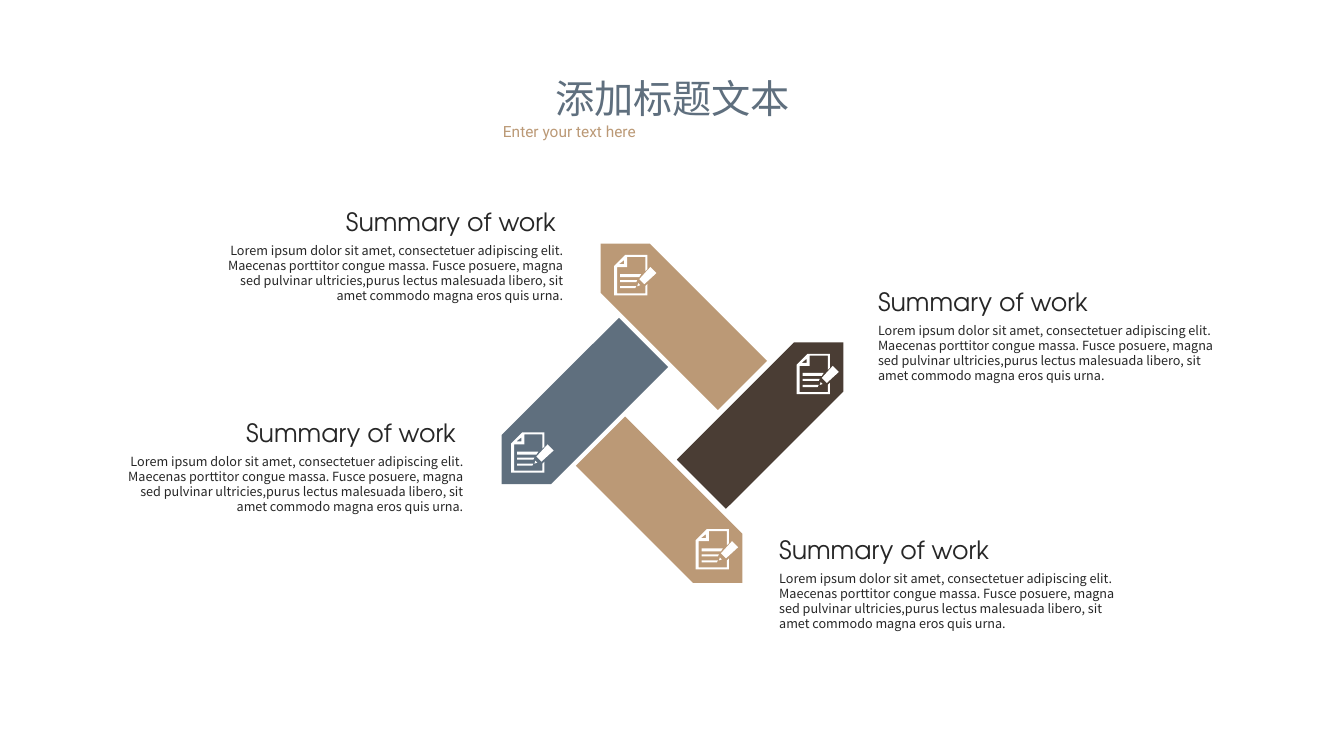
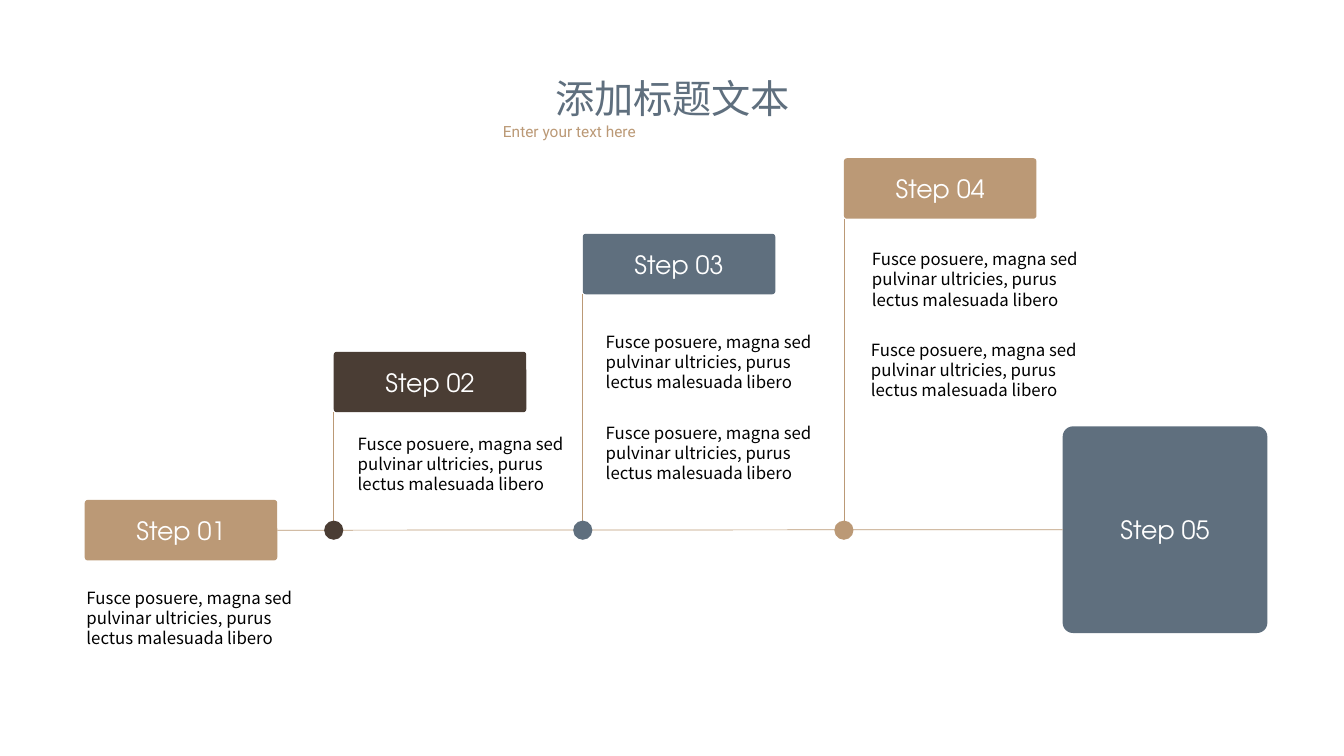
from dataclasses import dataclass

from lxml import etree
from pptx import Presentation
from pptx.dml.color import RGBColor
from pptx.enum.shapes import MSO_CONNECTOR, MSO_SHAPE
from pptx.enum.text import MSO_ANCHOR, MSO_AUTO_SIZE, PP_ALIGN
from pptx.oxml.ns import qn
from pptx.util import Inches, Pt


@dataclass(frozen=True)
class Theme:
    tan: str = "BB9976"
    slate: str = "5F6F7E"
    brown: str = "4A3D34"
    ink: str = "262626"
    black: str = "000000"
    white: str = "FFFFFF"
    sans: str = "Noto Sans CJK SC"
    tagline_font: str = "Roboto"
    display: str = "TeX Gyre Adventor"
    title_size: int = 28
    heading_size: int = 18
    note_size: int = 12
    tagline_size: int = 11
    body_size: int = 9
    leading: float = 1.2


THEME = Theme()

TITLE = "添加标题文本"
TAGLINE = "Enter your text here"
SUMMARY = "Summary of work"
LOREM = (
    "Lorem ipsum dolor sit amet, consectetuer adipiscing elit. Maecenas porttitor "
    "congue massa. Fusce posuere, magna sed pulvinar ultricies,purus lectus "
    "malesuada libero, sit amet commodo magna eros quis urna."
)
NOTE = "Fusce posuere, magna sed pulvinar ultricies, purus lectus malesuada libero"

# Outlines of the document-and-pencil icon, in hundredths of an inch.
ICON_OUTLINES = (
    ((25, 24), (36, 12), (42, 18), (30, 29)),
    ((24, 28), (23, 31), (26, 30)),
    ((31, 31), (33, 29), (33, 40), (0, 40), (0, 11), (11, 0), (33, 0), (33, 14),
     (31, 16), (31, 2), (13, 2), (13, 12), (3, 12), (3, 38), (31, 38)),
    ((5, 9), (10, 9), (10, 5)),
    ((27, 19), (6, 19), (6, 22), (25, 22)),
    ((23, 25), (6, 25), (6, 27), (22, 27)),
    ((6, 33), (21, 33), (22, 31), (6, 31)),
)

# Rotation, plate centre, colour, icon corner, summary corner, alignment.
ARMS = (
    (45, (6.66, 5.08), THEME.tan, (6.9, 5.25), (7.63, 5.25), PP_ALIGN.LEFT),
    (135, (5.68, 4.1), THEME.slate, (5.07, 4.29), (1.11, 4.09), PP_ALIGN.RIGHT),
    (225, (6.66, 3.12), THEME.tan, (6.09, 2.53), (2.1, 2.0), PP_ALIGN.RIGHT),
    (315, (7.66, 4.1), THEME.brown, (7.9, 3.51), (8.61, 2.79), PP_ALIGN.LEFT),
)
PLATE_WIDTH, PLATE_HEIGHT = 1.99, 0.69

# Colour, box (left, top, width, height), note corners.
STEPS = (
    (THEME.tan, (0.84, 4.96, 1.91, 0.6), ((0.76, 5.78),)),
    (THEME.brown, (3.31, 3.49, 1.91, 0.6), ((3.45, 4.25),)),
    (THEME.slate, (5.78, 2.32, 1.91, 0.6), ((5.91, 3.24), (5.91, 4.14))),
    (THEME.tan, (8.37, 1.57, 1.91, 0.6), ((8.55, 2.42), (8.54, 3.32))),
    (THEME.slate, (10.54, 4.23, 2.03, 2.05), ()),
)
TIMELINE_Y = 5.26
DOT_SIZE = 0.19


def write(frame, text, size, font, color, align=PP_ALIGN.LEFT):
    paragraph = frame.paragraphs[0]
    paragraph.alignment = align
    if font == THEME.sans:
        paragraph.line_spacing = Pt(size * THEME.leading)
    run = paragraph.add_run()
    run.text = text
    run.font.size = Pt(size)
    run.font.name = font
    run.font.color.rgb = RGBColor.from_string(color)
    east_asian = etree.Element(qn("a:ea"), typeface=font)
    run.font._element.find(qn("a:latin")).addnext(east_asian)


def add_text(slide, left, top, width, height, *style):
    box = slide.shapes.add_textbox(*map(Inches, (left, top, width, height)))
    box.text_frame.word_wrap = True
    write(box.text_frame, *style)


def paint(shape, color):
    shape.shadow.inherit = False
    shape.fill.solid()
    shape.fill.fore_color.rgb = RGBColor.from_string(color)
    shape.line.fill.background()


def add_block(slide, preset, left, top, width, height, color):
    block = slide.shapes.add_shape(preset, *map(Inches, (left, top, width, height)))
    paint(block, color)
    return block


def add_rule(slide, x1, y1, x2, y2):
    rule = slide.shapes.add_connector(
        MSO_CONNECTOR.STRAIGHT, *map(Inches, (x1, y1, x2, y2)))
    rule.line.color.rgb = RGBColor.from_string(THEME.tan)
    rule.line.width = Pt(0.5)
    etree.SubElement(rule._element.spPr, qn("a:effectLst"))
    return rule


def add_icon(slide, left, top):
    first, *others = ICON_OUTLINES
    builder = slide.shapes.build_freeform(*first[0], scale=Inches(0.01))
    builder.add_line_segments(first[1:], close=True)
    for start, *rest in others:
        builder.move_to(*start)
        builder.add_line_segments(rest, close=True)
    paint(builder.convert_to_shape(Inches(left), Inches(top)), THEME.white)


def add_titled_slide(deck):
    slide = deck.slides.add_slide(deck.slide_layouts[5])
    title = slide.shapes.title
    title.left, title.top, title.width, title.height = map(
        Inches, (5.39, 0.69, 2.56, 0.57))
    frame = title.text_frame
    frame.word_wrap = False
    frame.auto_size = MSO_AUTO_SIZE.NONE
    frame.vertical_anchor = MSO_ANCHOR.TOP
    write(frame, TITLE, THEME.title_size, THEME.sans, THEME.slate, PP_ALIGN.CENTER)
    add_text(slide, 4.89, 1.16, 3.55, 0.29, TAGLINE, THEME.tagline_size,
             THEME.tagline_font, THEME.tan, PP_ALIGN.JUSTIFY)
    return slide


def add_summary(slide, left, top, align):
    heading = SUMMARY + " " if align == PP_ALIGN.RIGHT else SUMMARY
    add_text(slide, left, top, 3.58, 0.4, heading, THEME.heading_size,
             THEME.display, THEME.ink, align)
    add_text(slide, left, top + 0.36, 3.58, 0.71, LOREM, THEME.body_size,
             THEME.sans, THEME.ink, align)


def build_pinwheel(deck):
    slide = add_titled_slide(deck)
    for angle, (x, y), color, icon_corner, summary_corner, align in ARMS:
        plate = add_block(slide, MSO_SHAPE.PENTAGON, x - PLATE_WIDTH / 2,
                          y - PLATE_HEIGHT / 2, PLATE_WIDTH, PLATE_HEIGHT, color)
        plate.rotation = angle
        add_icon(slide, *icon_corner)
        add_summary(slide, *summary_corner, align)


def add_step(slide, number, color, box):
    step = add_block(slide, MSO_SHAPE.ROUNDED_RECTANGLE, *box, color)
    step.adjustments[0] = 0.05
    step.text_frame.vertical_anchor = MSO_ANCHOR.MIDDLE
    write(step.text_frame, f"Step {number:02}", THEME.heading_size,
          THEME.display, THEME.white, PP_ALIGN.CENTER)
    return step


def build_timeline(deck):
    slide = add_titled_slide(deck)
    boxes = [add_step(slide, number, color, box)
             for number, (color, box, _) in enumerate(STEPS, 1)]
    timeline = add_rule(slide, 2.75, TIMELINE_Y, 10.54, TIMELINE_Y)
    timeline.begin_connect(boxes[0], 3)
    timeline.end_connect(boxes[-1], 1)
    for color, (left, top, _, height), _ in STEPS[1:-1]:
        add_rule(slide, left, top + height, left, TIMELINE_Y)
        add_block(slide, MSO_SHAPE.OVAL, left - DOT_SIZE / 2,
                  TIMELINE_Y - DOT_SIZE / 2, DOT_SIZE, DOT_SIZE, color)
    for _, _, note_corners in STEPS:
        for left, top in note_corners:
            add_text(slide, left, top, 2.33, 0.71, NOTE, THEME.note_size,
                     THEME.sans, THEME.black)


def main():
    deck = Presentation()
    deck.slide_width, deck.slide_height = Inches(13.33), Inches(7.5)
    build_pinwheel(deck)
    build_timeline(deck)
    deck.save("out.pptx")


if __name__ == "__main__":
    main()
